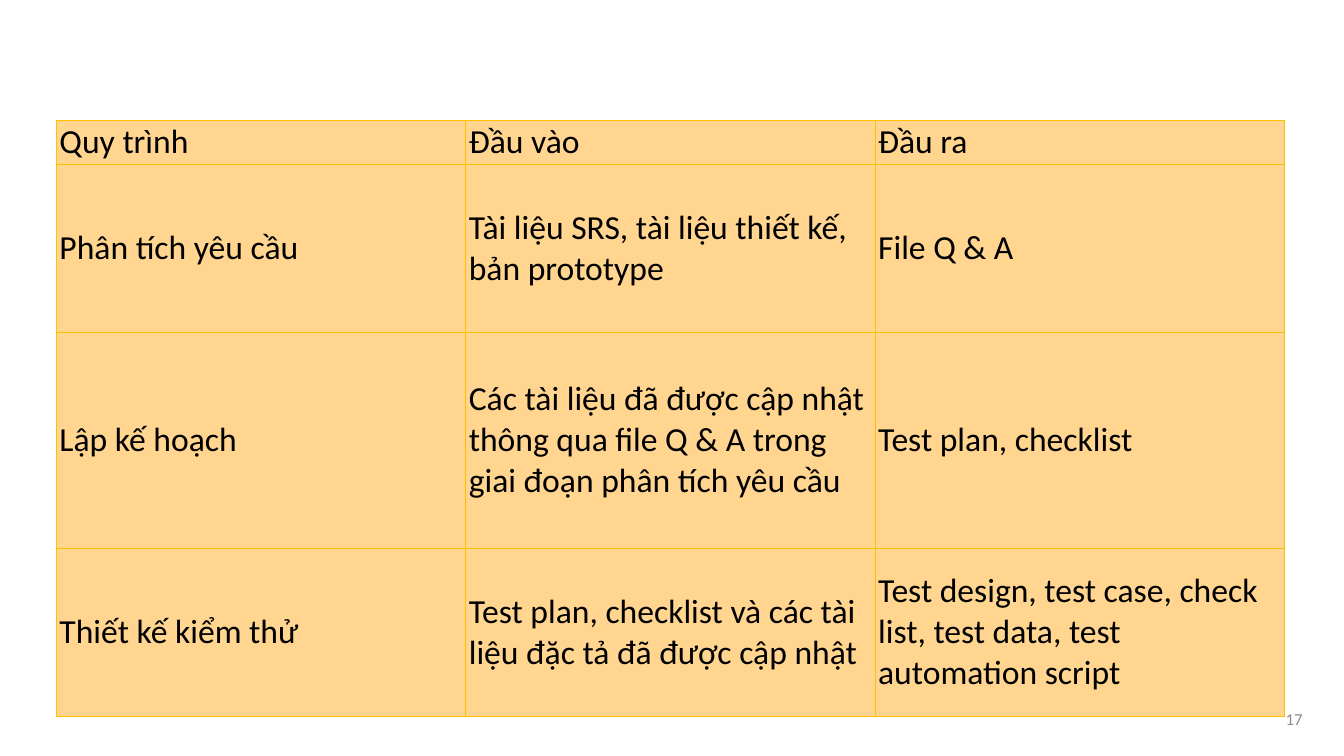
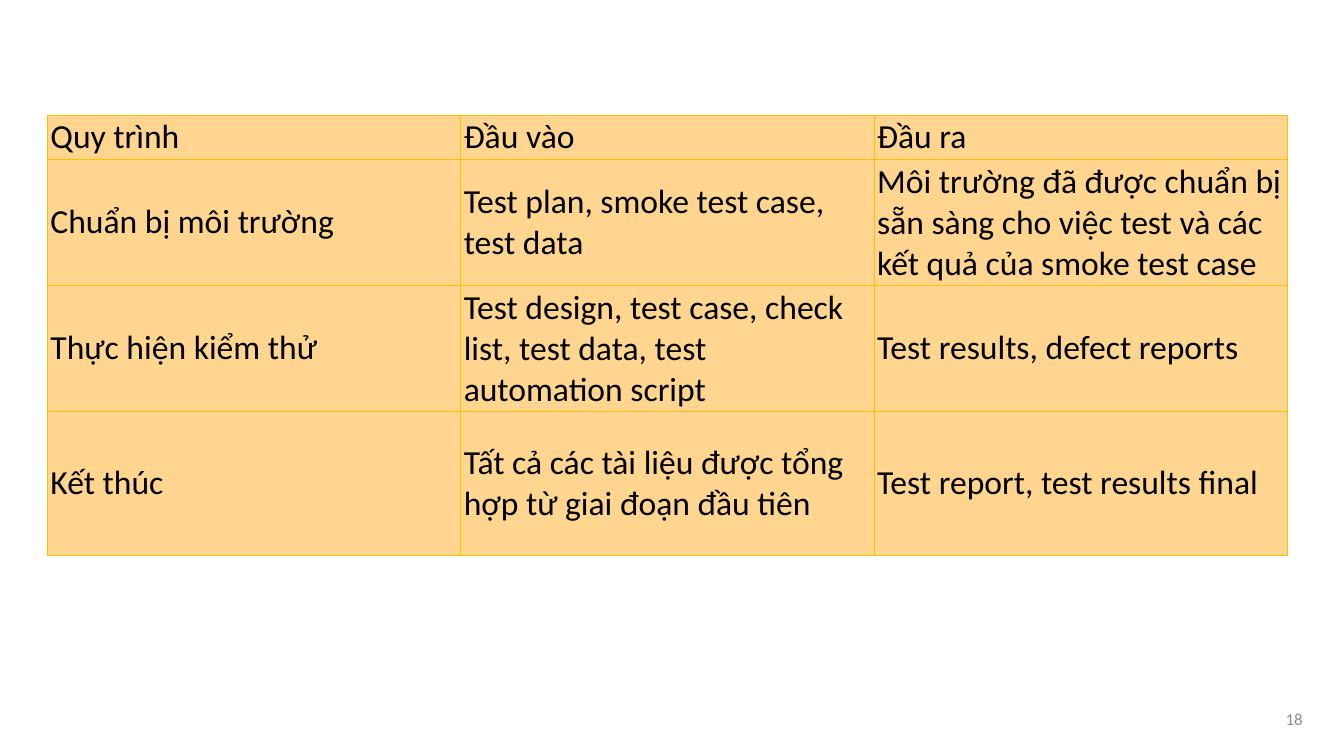
from dataclasses import dataclass

from lxml import etree
from pptx import Presentation
from pptx.dml.color import RGBColor
from pptx.enum.text import MSO_ANCHOR, PP_ALIGN
from pptx.oxml.ns import qn
from pptx.slide import Slide
from pptx.table import _Cell
from pptx.text.text import TextFrame
from pptx.util import Inches, Pt

LEFT, RIGHT = PP_ALIGN.LEFT, PP_ALIGN.RIGHT
TOP, MIDDLE = MSO_ANCHOR.TOP, MSO_ANCHOR.MIDDLE
BLANK = 6
FONT = "Calibri"
BLACK, GRAY = "000000", "8C8C8C"
PEACH, GOLD = "FFD590", "FFC000"
SIDES = ("a:lnL", "a:lnR", "a:lnT", "a:lnB")
HEAD = ("Quy trình", "Đầu vào", "Đầu ra")
HEAD_H = 0.44


@dataclass(frozen=True)
class Step:
    """One test step: its name, input, output and row height."""
    name: str
    source: str
    result: str
    height: float


@dataclass(frozen=True)
class Page:
    """One slide: its number, table place and steps."""
    number: int
    left: float
    top: float
    col: float
    steps: tuple[Step, ...]


DESIGN = "Test design, test case, check list, test data, test automation script"

PAGES = (
    Page(17, 0.56, 1.19, 4.06, (
        Step("Phân tích yêu cầu",
             "Tài liệu SRS, tài liệu thiết kế, bản prototype",
             "File Q & A", 1.67),
        Step("Lập kế hoạch",
             "Các tài liệu đã được cập nhật thông qua file Q & A "
             "trong giai đoạn phân tích yêu cầu",
             "Test plan, checklist", 2.14),
        Step("Thiết kế kiểm thử",
             "Test plan, checklist và các tài liệu đặc tả đã được cập nhật",
             DESIGN, 1.67),
    )),
    Page(18, 0.47, 1.14, 4.1, (
        Step("Chuẩn bị môi trường",
             "Test plan, smoke test case, test data",
             "Môi trường đã được chuẩn bị sẵn sàng cho việc test "
             "và các kết quả của smoke test case", 1.25),
        Step("Thực hiện kiểm thử", DESIGN,
             "Test results, defect reports", 1.25),
        Step("Kết thúc",
             "Tất cả các tài liệu được tổng hợp từ giai đoạn đầu tiên",
             "Test report, test results final", 1.43),
    )),
)


def color(code: str) -> RGBColor:
    """Turn a hex string into a colour."""
    return RGBColor.from_string(code)


def write(frame: TextFrame, text: str, *, size: float = 24,
          ink: str = BLACK, align: PP_ALIGN = LEFT) -> None:
    """Put formatted text in a frame."""
    para = frame.paragraphs[0]
    para.alignment = align
    run = para.add_run()
    run.text = text
    run.font.name = FONT
    run.font.size = Pt(size)
    run.font.color.rgb = color(ink)


def add_number(slide: Slide, number: int) -> None:
    """Add the page number at the lower right."""
    box = slide.shapes.add_textbox(
        Inches(12.25), Inches(6.93), Inches(0.8), Inches(0.57))
    frame = box.text_frame
    frame.word_wrap = True
    frame.vertical_anchor = TOP
    frame.margin_left = frame.margin_right = Inches(0.13)
    frame.margin_top = frame.margin_bottom = Inches(0.13)
    write(frame, str(number), size=12, ink=GRAY, align=RIGHT)


def add_edges(cell: _Cell) -> None:
    """Draw a thin gold line on each side of a cell."""
    props = cell._tc.get_or_add_tcPr()
    for side in SIDES:
        line = etree.SubElement(props, qn(side), w=str(Pt(0.5)))
        fill = etree.SubElement(line, qn("a:solidFill"))
        etree.SubElement(fill, qn("a:srgbClr"), val=GOLD)


def fill_cell(cell: _Cell, text: str) -> None:
    """Style a cell and write its text."""
    add_edges(cell)
    cell.fill.solid()
    cell.fill.fore_color.rgb = color(PEACH)
    cell.vertical_anchor = MIDDLE
    cell.margin_left = cell.margin_right = Inches(0.03)
    cell.margin_top = cell.margin_bottom = Inches(0.02)
    write(cell.text_frame, text)


def add_steps(slide: Slide, page: Page) -> None:
    """Add the table of steps."""
    rows = [HEAD] + [(s.name, s.source, s.result) for s in page.steps]
    heights = [HEAD_H] + [s.height for s in page.steps]
    table = slide.shapes.add_table(
        len(rows), len(HEAD), Inches(page.left), Inches(page.top),
        Inches(page.col * len(HEAD)), Inches(sum(heights))).table
    table.first_row = table.horz_banding = False
    for col in table.columns:
        col.width = Inches(page.col)
    for r, (row, height) in enumerate(zip(rows, heights)):
        table.rows[r].height = Inches(height)
        for c, text in enumerate(row):
            fill_cell(table.cell(r, c), text)


def main() -> None:
    """Build and save the deck."""
    deck = Presentation()
    deck.slide_width, deck.slide_height = Inches(13.33), Inches(7.5)
    for page in PAGES:
        slide = deck.slides.add_slide(deck.slide_layouts[BLANK])
        add_number(slide, page.number)
        add_steps(slide, page)
    deck.save("out.pptx")


main()
